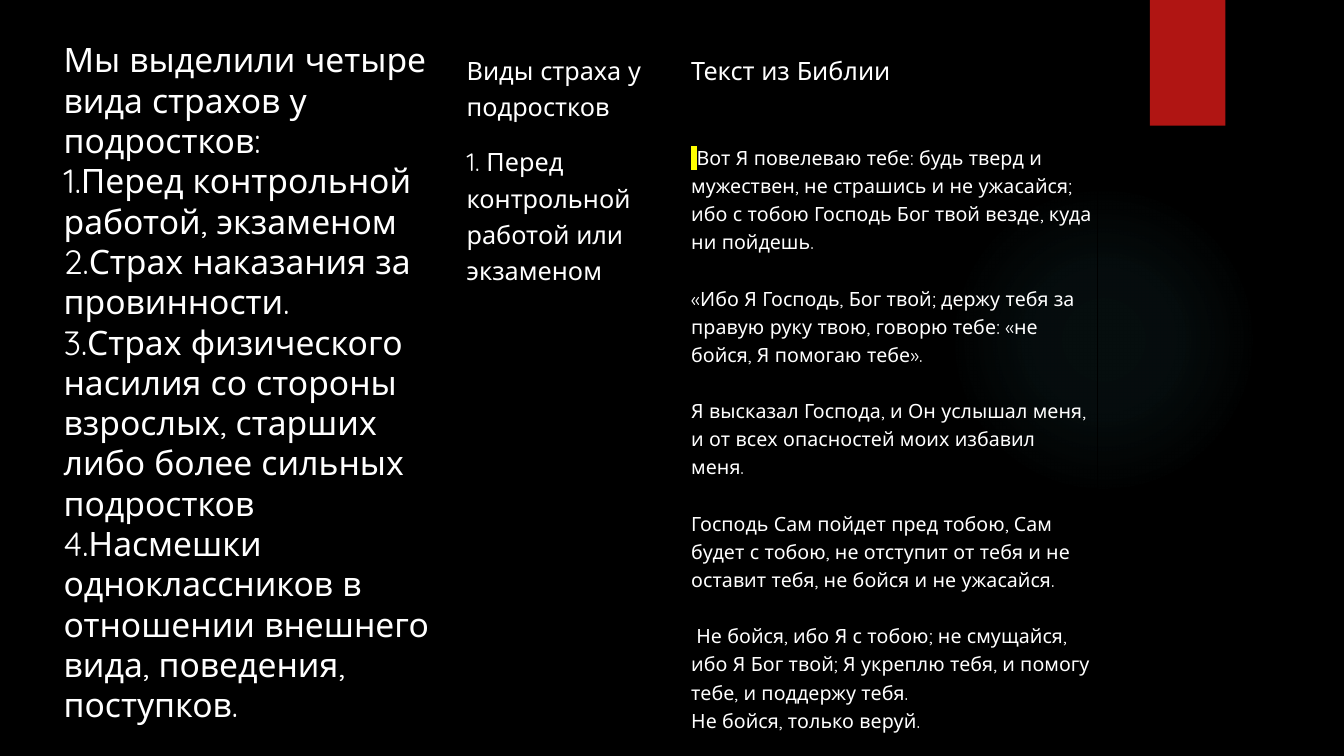
from dataclasses import dataclass

from lxml.etree import SubElement as Sub
from pptx import Presentation
from pptx.dml.color import RGBColor as RGB
from pptx.enum.shapes import MSO_SHAPE as Kind
from pptx.enum.text import MSO_ANCHOR as Anchor, MSO_AUTO_SIZE as Auto
from pptx.oxml import parse_xml
from pptx.oxml.ns import nsdecls, qn
from pptx.util import Cm, Pt

FEARS = [
    "Мы выделили четыре вида страхов у подростков:",
    "1.Перед контрольной работой, экзаменом",
    "2.Страх наказания за провинности.",
    "3.Страх физического насилия со стороны взрослых, старших либо более сильных подростков",
    "4.Насмешки одноклассников в отношении внешнего вида, поведения, поступков.",
]
HEADS = ["Виды страха у подростков", "Текст из Библии"]
TOPIC = "1. Перед контрольной работой или экзаменом"
MARK = " "
VERSES = [
    "Вот Я повелеваю тебе: будь тверд и мужествен, не страшись и не ужасайся; ибо с тобою Господь Бог твой везде, куда ни пойдешь.",
    "«Ибо Я Господь, Бог твой; держу тебя за правую руку твою, говорю тебе: «не бойся, Я помогаю тебе».",
    "Я высказал Господа, и Он услышал меня, и от всех опасностей моих избавил меня.",
    "Господь Сам пойдет пред тобою, Сам будет с тобою, не отступит от тебя и не оставит тебя, не бойся и не ужасайся.",
    "Не бойся, ибо Я с тобою; не смущайся, ибо Я Бог твой; Я укреплю тебя, и помогу тебе, и поддержу тебя.",
    "Не бойся, только веруй.",
]
GLOW = [(0, 7), (36, 6), (69, 0)]
COLS, ROWS = (5.66, 10.36), (2.31, 14.83)


@dataclass(frozen=True)
class Theme:
    font: str = "Quicksand"
    back: str = "000000"
    ink: str = "FFFFFF"
    teal: str = "50B9C1"
    red: str = "B01513"
    mark: str = "FFFF00"
    list: int = 24
    head: int = 18
    verse: int = 14


LOOK = Theme()


def style(para, size, lead=1.0, gap=0):
    para.line_spacing, para.space_before, para.space_after = lead, Pt(gap), Pt(0)
    for run in para.runs:
        run.font.name, run.font.size = LOOK.font, Pt(size)
        run.font.color.rgb = RGB.from_string(LOOK.ink)


def block(slide, kind, *box):
    shape = slide.shapes.add_shape(kind, *map(Cm, box))
    shape.shadow.inherit = False
    shape.line.fill.background()
    shape.fill.solid()
    return shape


def decor(slide):
    glow = block(slide, Kind.OVAL, 23.9, 4.65, 7.82, 7.82)
    stops = "".join(
        f'<a:gs pos="{pos * 1000}"><a:srgbClr val="{LOOK.teal}">'
        f'<a:alpha val="{alpha * 1000}"/></a:srgbClr></a:gs>' for pos, alpha in GLOW)
    grad = parse_xml(
        f'<a:gradFill {nsdecls("a")}><a:gsLst>{stops}</a:gsLst><a:path path="circle">'
        '<a:fillToRect l="50000" t="50000" r="50000" b="50000"/></a:path></a:gradFill>')
    props = glow.element.spPr
    props.replace(props.find(qn("a:solidFill")), grad)
    flag = block(slide, Kind.RECTANGLE, 28.98, 0, 1.9, 3.17)
    flag.fill.fore_color.rgb = RGB.from_string(LOOK.red)


def listing(body):
    body.left, body.top, body.width, body.height = map(Cm, (1.35, 0.86, 10.59, 17.7))
    frame = body.text_frame
    frame.text = "\n".join(FEARS)
    frame.auto_size, frame.vertical_anchor = Auto.NONE, Anchor.TOP
    for para in frame.paragraphs:
        props = para._p.get_or_add_pPr()
        props.set("marL", "0")
        props.set("indent", "0")
        Sub(props, qn("a:buNone"))
        style(para, LOOK.list)


def border(cell):
    props = cell._tc.get_or_add_tcPr()
    for i, side in enumerate("LRTB"):
        props.insert(i, parse_xml(
            f'<a:ln{side} {nsdecls("a")} w="12700"><a:solidFill>'
            f'<a:srgbClr val="{LOOK.back}"/></a:solidFill></a:ln{side}>'))


def verses(frame):
    frame.text = "\n".join(VERSES)
    first, *rest = frame.paragraphs
    first.text = MARK
    first.add_run().text = VERSES[0]
    style(first, LOOK.verse, 1.15)
    for para in rest:
        style(para, LOOK.verse, 1.15, 0 if para is rest[-1] else 20)
    rest[-2]._p.get_or_add_pPr().set("indent", str(Cm(0.13)))
    fill = first.runs[0]._r.get_or_add_rPr().find(qn("a:solidFill"))
    fill.addnext(parse_xml(
        f'<a:highlight {nsdecls("a")}><a:srgbClr val="{LOOK.mark}"/></a:highlight>'))


def grid(slide):
    table = slide.shapes.add_table(
        2, 2, Cm(11.63), Cm(1.27), Cm(sum(COLS)), Cm(sum(ROWS))).table
    table.first_row = table.horz_banding = False
    for col, width in zip(table.columns, COLS):
        col.width = Cm(width)
    for row, height in zip(table.rows, ROWS):
        row.height = Cm(height)
    for cell, text in zip(table.iter_cells(), [*HEADS, TOPIC, ""]):
        cell.margin_left = cell.margin_right = Cm(0.13)
        cell.margin_top = cell.margin_bottom = 0
        cell.fill.background()
        border(cell)
        cell.text_frame.text = text
        style(cell.text_frame.paragraphs[0], LOOK.head, 1.15)
    verses(table.cell(1, 1).text_frame)


def main():
    """Build the slide on teenage fears and save it."""
    deck = Presentation()
    deck.slide_width, deck.slide_height = Cm(33.87), Cm(19.05)
    slide = deck.slides.add_slide(deck.slide_layouts[1])
    slide.background.fill.solid()
    slide.background.fill.fore_color.rgb = RGB.from_string(LOOK.back)
    title, body = slide.placeholders
    title.element.getparent().remove(title.element)
    decor(slide)
    listing(body)
    grid(slide)
    deck.save("out.pptx")


if __name__ == "__main__":
    main()
